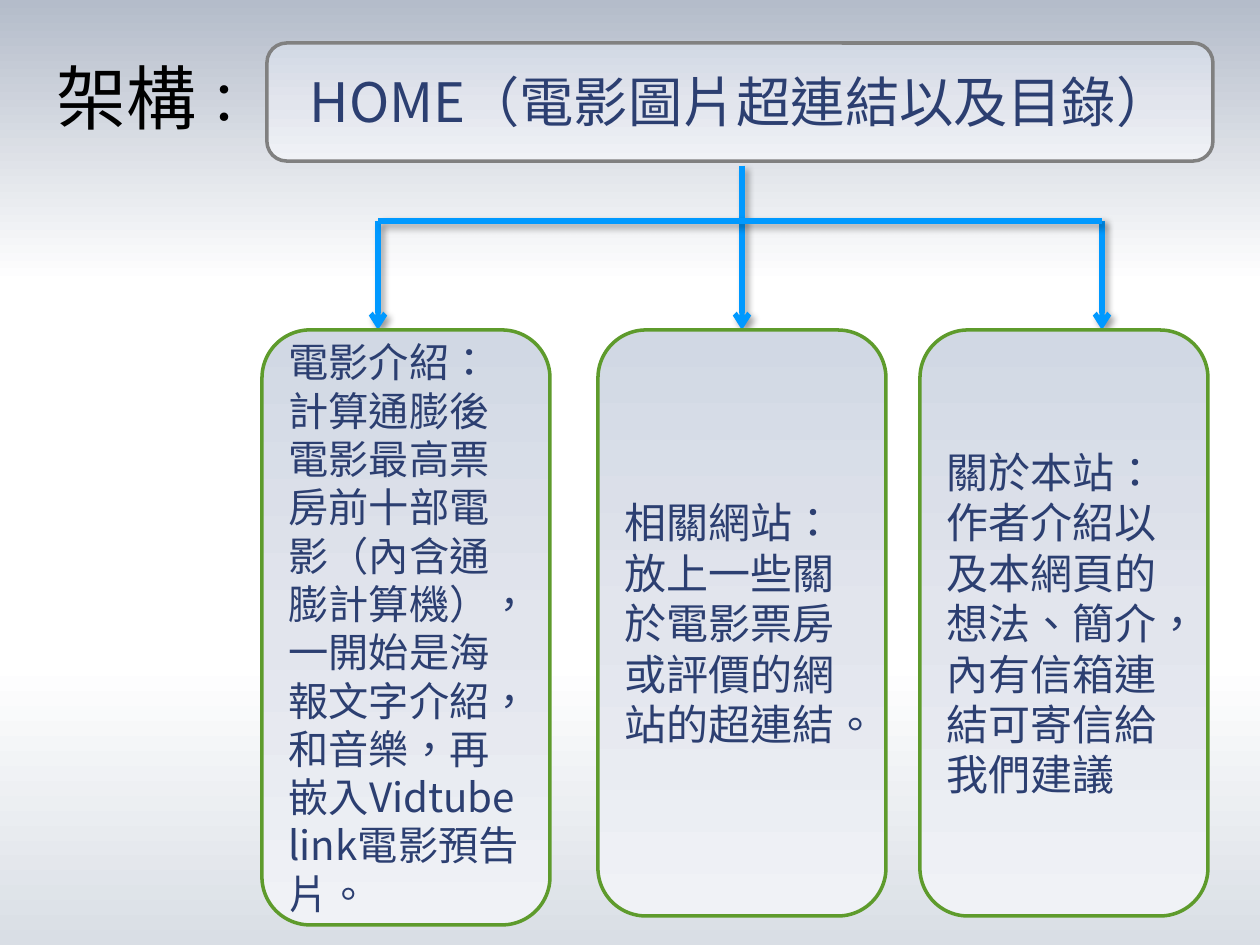
from dataclasses import dataclass

from lxml.etree import SubElement
from pptx import Presentation
from pptx.dml.color import RGBColor
from pptx.enum.shapes import MSO_CONNECTOR, MSO_SHAPE
from pptx.enum.text import MSO_ANCHOR, PP_ALIGN
from pptx.oxml.ns import qn
from pptx.util import Emu, Pt

EMU_PER_PX = 914400 / 126


@dataclass(frozen=True)
class Theme:
    black: str = "000000"
    ink: str = "2C3F71"
    gray: str = "808080"
    green: str = "5E9B2C"
    blue: str = "0099FF"
    panel: tuple = ((0, "D1D8E4"), (50, "E2E5ED"), (100, "F0F2F6"))
    backdrop: tuple = ((0, "D9DEE5"), (30, "FFFFFF"), (70, "FFFFFF"), (100, "B4BCCA"))
    title_font: str = "Arial"
    body_font: str = "Noto Sans CJK SC"
    title_size: int = 40
    colon_size: int = 32
    home_size: int = 31
    long_size: int = 23
    body_size: int = 24
    leading: float = 1.2


THEME = Theme()

# Columns: box (left, top, width, height), text size, heading, description
COLUMNS = [
    ((262, 330, 288, 595), THEME.long_size, "電影介紹：",
     "計算通膨後電影最高票房前十部電影（內含通膨計算機），一開始是海報文字介紹，"
     "和音樂，再嵌入Vidtube link電影預告片。"),
    ((598, 330, 288, 586), THEME.body_size, "相關網站：",
     "放上一些關於電影票房或評價的網站的超連結。"),
    ((920, 330, 288, 586), THEME.body_size, "關於本站：",
     "作者介紹以及本網頁的想法、簡介，內有信箱連結可寄信給我們建議"),
]


def px(*values):
    return [Emu(round(value * EMU_PER_PX)) for value in values]


def set_format(target, values):
    for name, value in values.items():
        setattr(target, name, value)


def paint_gradient(fill, element, stops, angle):
    fill.gradient()
    fill.gradient_angle = 360 - angle
    stop_list = next(element.iter(qn("a:gsLst")))
    for old_stop in list(stop_list):
        stop_list.remove(old_stop)
    for position, color in stops:
        stop = SubElement(stop_list, qn("a:gs"), pos=str(position * 1000))
        SubElement(stop, qn("a:srgbClr"), val=color)


def add_run(paragraph, text, size, font_name, color):
    run = paragraph.add_run()
    run.text = text
    set_format(run.font, {"size": Pt(size), "name": font_name})
    run.font.color.rgb = RGBColor.from_string(color)
    properties = run.font._element
    properties.set("lang", "zh-TW")
    SubElement(properties, qn("a:ea"), typeface=font_name)


def add_body_text(frame, lines, size, alignment):
    set_format(frame, {"word_wrap": True, "vertical_anchor": MSO_ANCHOR.MIDDLE})
    for index, line in enumerate(lines):
        paragraph = frame.add_paragraph() if index else frame.paragraphs[0]
        set_format(paragraph, {"alignment": alignment,
                               "line_spacing": Pt(round(size * THEME.leading, 1))})
        add_run(paragraph, line, size, THEME.body_font, THEME.ink)


def add_panel(slide, box, line_color):
    panel = slide.shapes.add_shape(MSO_SHAPE.ROUNDED_RECTANGLE, *px(*box))
    panel.shadow.inherit = False
    paint_gradient(panel.fill, panel._element, THEME.panel, 90)
    panel.line.color.rgb = RGBColor.from_string(line_color)
    panel.line.width = Pt(2)
    return panel


def add_title(slide, box):
    frame = slide.shapes.add_textbox(*px(*box)).text_frame
    frame.word_wrap = True
    for text, size in (("架構", THEME.title_size), ("：", THEME.colon_size)):
        add_run(frame.paragraphs[0], text, size, THEME.title_font, THEME.black)


def add_home(slide, box):
    left, top, width, height = box
    add_panel(slide, box, THEME.gray)
    label = slide.shapes.add_textbox(*px(left, top + 19, width, 78))
    add_body_text(label.text_frame, ["HOME（電影圖片超連結以及目錄）"],
                  THEME.home_size, PP_ALIGN.CENTER)


def add_line(slide, start, end, arrow=False):
    connector = slide.shapes.add_connector(MSO_CONNECTOR.STRAIGHT, *px(*start, *end))
    connector.line.color.rgb = RGBColor.from_string(THEME.blue)
    connector.line.width = Pt(3)
    if arrow:
        SubElement(connector.line._get_or_add_ln(), qn("a:tailEnd"), type="arrow")
    # Soft shadow: 4 pt blur, 3 pt offset at 45 degrees, 40 % black
    effects = SubElement(connector._element.spPr, qn("a:effectLst"))
    shadow = SubElement(effects, qn("a:outerShdw"), blurRad=str(Pt(4)), dist=str(Pt(3)),
                        dir="2700000", algn="tl", rotWithShape="0")
    color = SubElement(shadow, qn("a:srgbClr"), val=THEME.black)
    SubElement(color, qn("a:alpha"), val="40000")


def add_branches(slide, box, trunk_x):
    left, top, width, height = box
    right, bottom, bar_y = left + width, top + height, top + 55
    add_line(slide, (trunk_x, top), (trunk_x, bottom), arrow=True)
    for x in (left, right):
        add_line(slide, (x, bar_y), (x, bottom), arrow=True)
    add_line(slide, (left, bar_y), (right, bar_y))


def add_column(slide, box, size, heading, description):
    panel = add_panel(slide, box, THEME.green)
    add_body_text(panel.text_frame, [heading, description], size, PP_ALIGN.LEFT)


def main():
    presentation = Presentation()
    slide_width, slide_height = px(1260, 945)
    set_format(presentation, {"slide_width": slide_width, "slide_height": slide_height})
    slide = presentation.slides.add_slide(presentation.slide_layouts[6])
    paint_gradient(slide.background.fill, slide._element, THEME.backdrop, 270)

    # Heading row
    add_title(slide, (44, 48, 202, 101))
    add_home(slide, (267, 43, 946, 118))

    # Tree from the home page to its three sections
    add_branches(slide, (378, 166, 724, 164), trunk_x=742)
    for column in COLUMNS:
        add_column(slide, *column)

    presentation.save("out.pptx")


if __name__ == "__main__":
    main()
